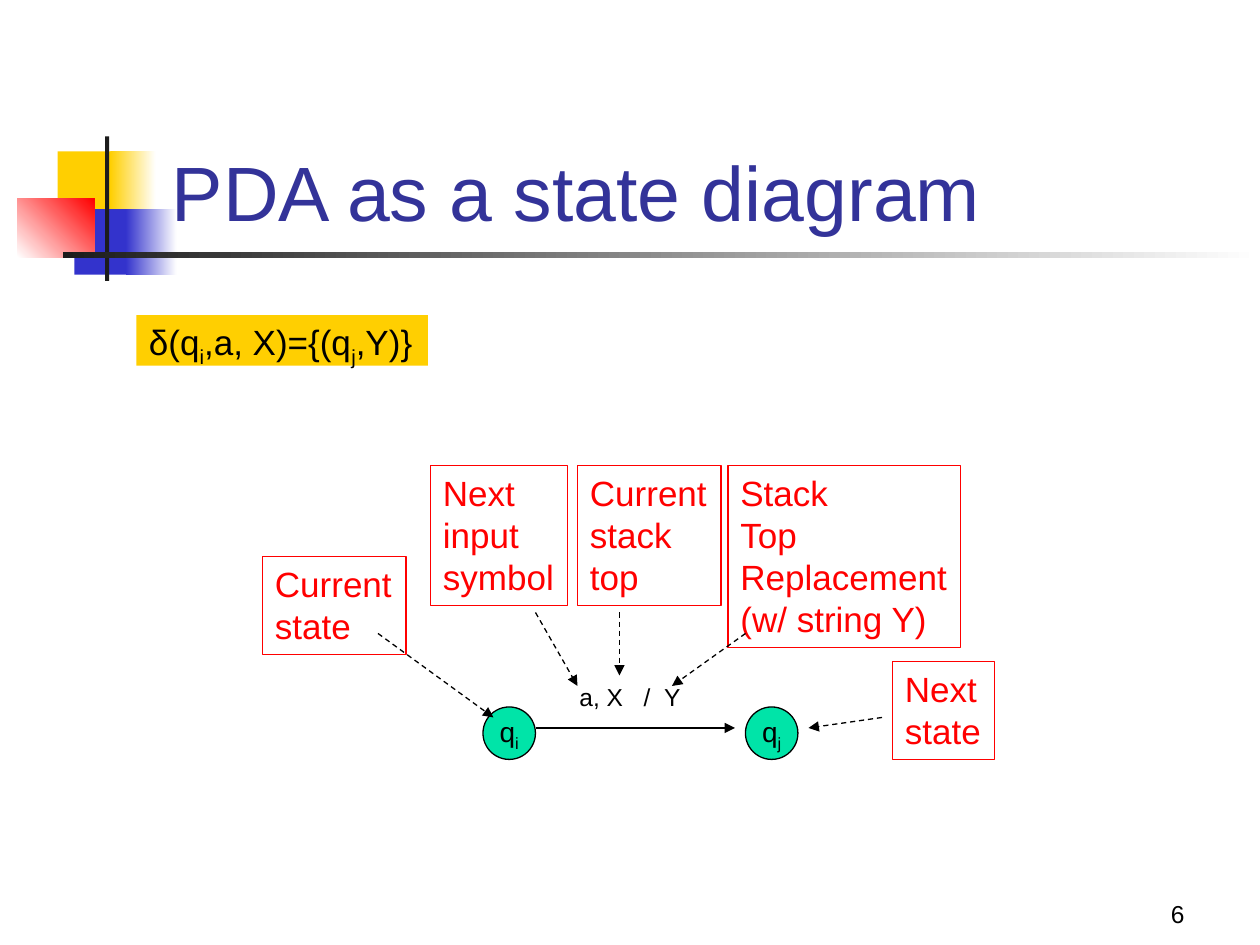
"""Build a slide that explains a PDA transition as a state diagram."""
from dataclasses import dataclass
from typing import Optional

from lxml.etree import SubElement
from pptx import Presentation
from pptx.dml.color import RGBColor
from pptx.enum.dml import MSO_LINE
from pptx.enum.shapes import MSO_CONNECTOR, MSO_SHAPE
from pptx.enum.text import MSO_ANCHOR, MSO_AUTO_SIZE, PP_ALIGN
from pptx.oxml.ns import qn
from pptx.util import Pt

FONT = "Arial"
BLACK = RGBColor(0x00, 0x00, 0x00)
WHITE = RGBColor(0xFF, 0xFF, 0xFF)
RED = RGBColor(0xFF, 0x00, 0x00)
YELLOW = RGBColor(0xFF, 0xCF, 0x01)
BLUE = RGBColor(0x33, 0x33, 0xCC)
NAVY = RGBColor(0x33, 0x33, 0x99)
GREEN = RGBColor(0x00, 0xE4, 0xA8)
CHARCOAL = RGBColor(0x1C, 0x1C, 0x1C)


@dataclass(frozen=True)
class Box:
    x: float
    y: float
    w: float
    h: float


@dataclass(frozen=True)
class Run:
    text: str
    base: int = 0
    spacing: float = 0


@dataclass(frozen=True)
class Bar:
    box: Box
    start: RGBColor
    end: Optional[RGBColor] = None
    angle: float = 0


@dataclass(frozen=True)
class State:
    x: float
    index: str


@dataclass(frozen=True)
class Callout:
    box: Box
    lines: tuple


@dataclass(frozen=True)
class Arrow:
    x1: float
    y1: float
    x2: float
    y2: float
    dashed: bool = True


BARS = (
    Bar(Box(33, 86.5, 34.5, 37.5), YELLOW),
    Bar(Box(63, 86.5, 26, 37.5), YELLOW, WHITE),
    Bar(Box(42.5, 119.5, 33, 37.5), BLUE),
    Bar(Box(72, 119.5, 29, 37.5), BLUE, WHITE),
    Bar(Box(10, 113.5, 44, 33.5), WHITE, RED, 45),
    Bar(Box(60, 78, 2.4, 82.5), CHARCOAL),
    Bar(Box(36, 144, 684, 3.5), CHARCOAL, WHITE),
)
STATES = (State(276, "i"), State(426, "j"))
CALLOUTS = (
    Callout(Box(246, 266, 78.5, 80), ("Next", "input", "symbol")),
    Callout(Box(150, 318, 82, 56), ("Current", "state")),
    Callout(Box(330, 266, 82, 80), ("Current", "stack", "top")),
    Callout(Box(416, 266, 133, 104), ("Stack", "Top", "Replacement", "(w/ string Y)")),
    Callout(Box(510, 378, 58.5, 56), ("Next", "state")),
)
ARROWS = (
    Arrow(306, 416, 420, 416, dashed=False),
    Arrow(216, 362, 282, 410),
    Arrow(306, 350, 330, 392),
    Arrow(354, 350, 354, 386),
    Arrow(426, 362, 384, 392),
    Arrow(504, 410, 462, 416),
)


def write(sp, *lines, size=20, color=BLACK, align=PP_ALIGN.LEFT,
          anchor=MSO_ANCHOR.TOP, wrap=False, grow=False,
          line_spacing=None, before=0):
    """Write each line, a string or a tuple of runs, as a paragraph."""
    tf = sp.text_frame
    tf.word_wrap = wrap
    tf.vertical_anchor = anchor
    tf.auto_size = MSO_AUTO_SIZE.SHAPE_TO_FIT_TEXT if grow else MSO_AUTO_SIZE.NONE
    for n, line in enumerate(lines):
        p = tf.add_paragraph() if n else tf.paragraphs[0]
        p.alignment = align
        p.line_spacing = line_spacing
        p.space_before = Pt(before)
        for part in (Run(line),) if isinstance(line, str) else line:
            r = p.add_run()
            r.text = part.text
            r.font.name = FONT
            r.font.size = Pt(size)
            r.font.color.rgb = color
            rPr = r._r.get_or_add_rPr()
            if part.base:
                rPr.set("baseline", str(part.base * 1000))
            if part.spacing:
                rPr.set("spc", str(round(part.spacing * 100)))


def place(sp, box: Box) -> None:
    """Move and size a shape."""
    sp.left, sp.top, sp.width, sp.height = map(Pt, (box.x, box.y, box.w, box.h))


def add_text_box(s, box: Box):
    """Add an empty text box."""
    return s.shapes.add_textbox(Pt(box.x), Pt(box.y), Pt(box.w), Pt(box.h))


def add_shape(s, kind, box: Box, fill=None, line=None):
    """Add a flat shape with an optional fill and outline."""
    sp = s.shapes.add_shape(kind, Pt(box.x), Pt(box.y), Pt(box.w), Pt(box.h))
    sp.shadow.inherit = False
    if fill is None:
        sp.fill.background()
    else:
        sp.fill.solid()
        sp.fill.fore_color.rgb = fill
    if line is None:
        sp.line.fill.background()
    else:
        sp.line.color.rgb = line
        sp.line.width = Pt(0.75)
    return sp


def add_bar(s, bar: Bar) -> None:
    """Add a decorative bar, fading when it has an end colour."""
    sp = add_shape(s, MSO_SHAPE.RECTANGLE, bar.box, bar.start)
    if bar.end is not None:
        sp.fill.gradient()
        sp.fill.gradient_angle = bar.angle
        for stop, color in zip(sp.fill.gradient_stops, (bar.start, bar.end)):
            stop.color.rgb = color


def add_arrow(s, arrow: Arrow) -> None:
    """Add a straight line with an arrowhead at its end."""
    c = s.shapes.add_connector(MSO_CONNECTOR.STRAIGHT, Pt(arrow.x1), Pt(arrow.y1),
                               Pt(arrow.x2), Pt(arrow.y2))
    c.line.color.rgb = BLACK
    c.line.width = Pt(0.75)
    if arrow.dashed:
        c.line.dash_style = MSO_LINE.DASH
    SubElement(c.line._get_or_add_ln(), qn("a:tailEnd"), type="triangle")
    SubElement(c._element.spPr, qn("a:effectLst"))


def main() -> None:
    """Build and save the slide."""
    prs = Presentation()
    prs.slide_width, prs.slide_height = Pt(720), Pt(540)
    s = prs.slides.add_slide(prs.slide_layouts[5])
    for bar in BARS:
        add_bar(s, bar)
    title = s.shapes.title
    place(title, Box(91, 49, 613, 90))
    write(title, "PDA as a state diagram", size=44, color=NAVY,
          anchor=MSO_ANCHOR.BOTTOM, wrap=True)
    write(add_text_box(s, Box(534, 498, 150, 36)), "6", size=14,
          align=PP_ALIGN.RIGHT, anchor=MSO_ANCHOR.BOTTOM, wrap=True)
    for state in STATES:
        sp = add_shape(s, MSO_SHAPE.OVAL, Box(state.x, 404, 30, 30), GREEN, BLACK)
        write(sp, (Run("q"), Run(state.index, -25)), size=16,
              align=PP_ALIGN.CENTER, anchor=MSO_ANCHOR.MIDDLE)
    write(add_text_box(s, Box(324, 386, 76, 24.5)),
          (Run("a, X"), Run(" ", spacing=7.8), Run("/"), Run(" ", spacing=3.9), Run("Y")),
          size=14, grow=True)
    for callout in CALLOUTS:
        sp = add_shape(s, MSO_SHAPE.RECTANGLE, callout.box, line=RED)
        write(sp, *callout.lines, color=RED, grow=True)
    for arrow in ARROWS:
        add_arrow(s, arrow)
    rule = add_shape(s, MSO_SHAPE.RECTANGLE, Box(78, 180, 166.5, 29), YELLOW)
    write(rule, (Run("δ(q"), Run("i", -25), Run(",a, X)={(q"), Run("j", -25), Run(",Y)}")),
          line_spacing=0.9, before=4)
    prs.save("out.pptx")


if __name__ == "__main__":
    main()
